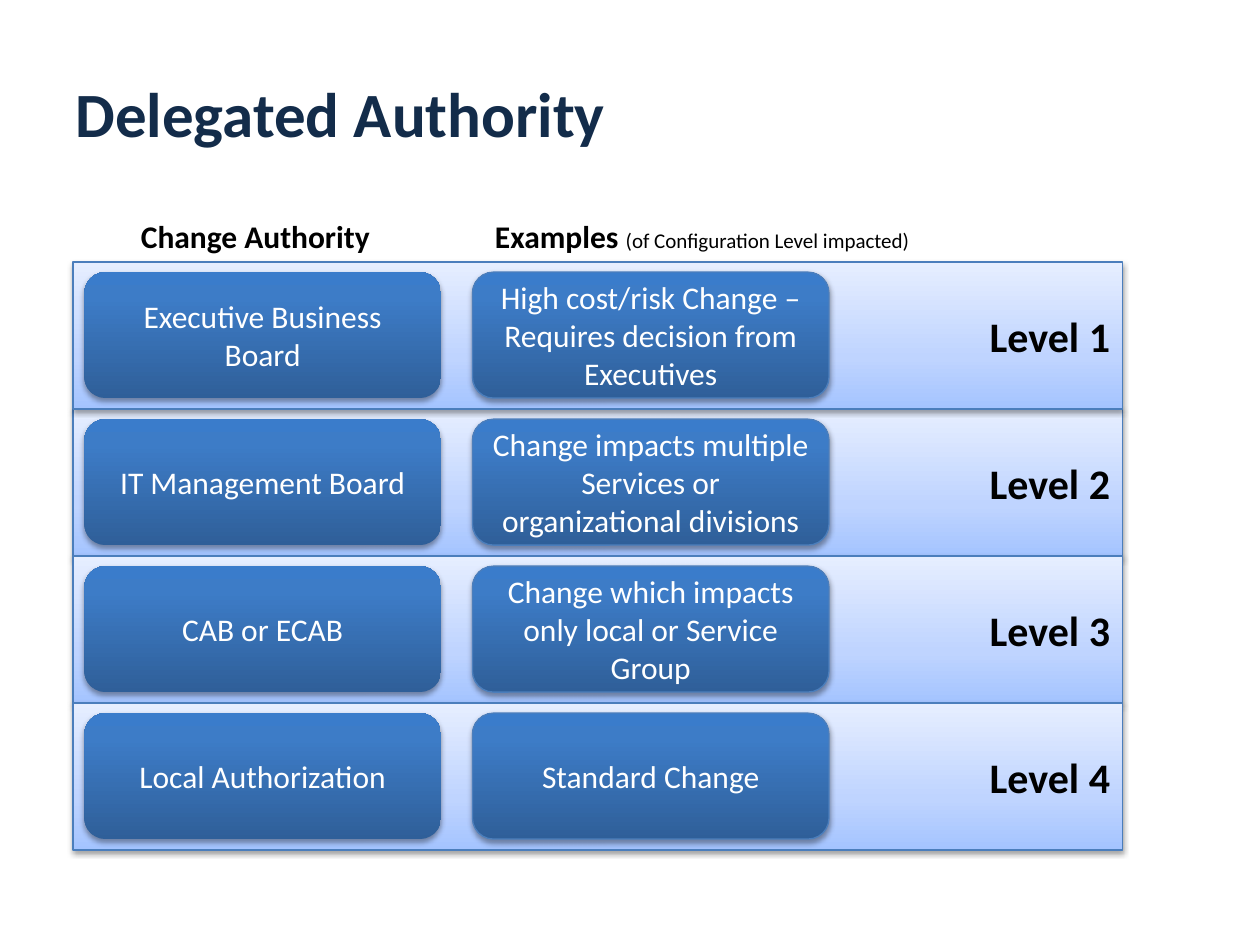
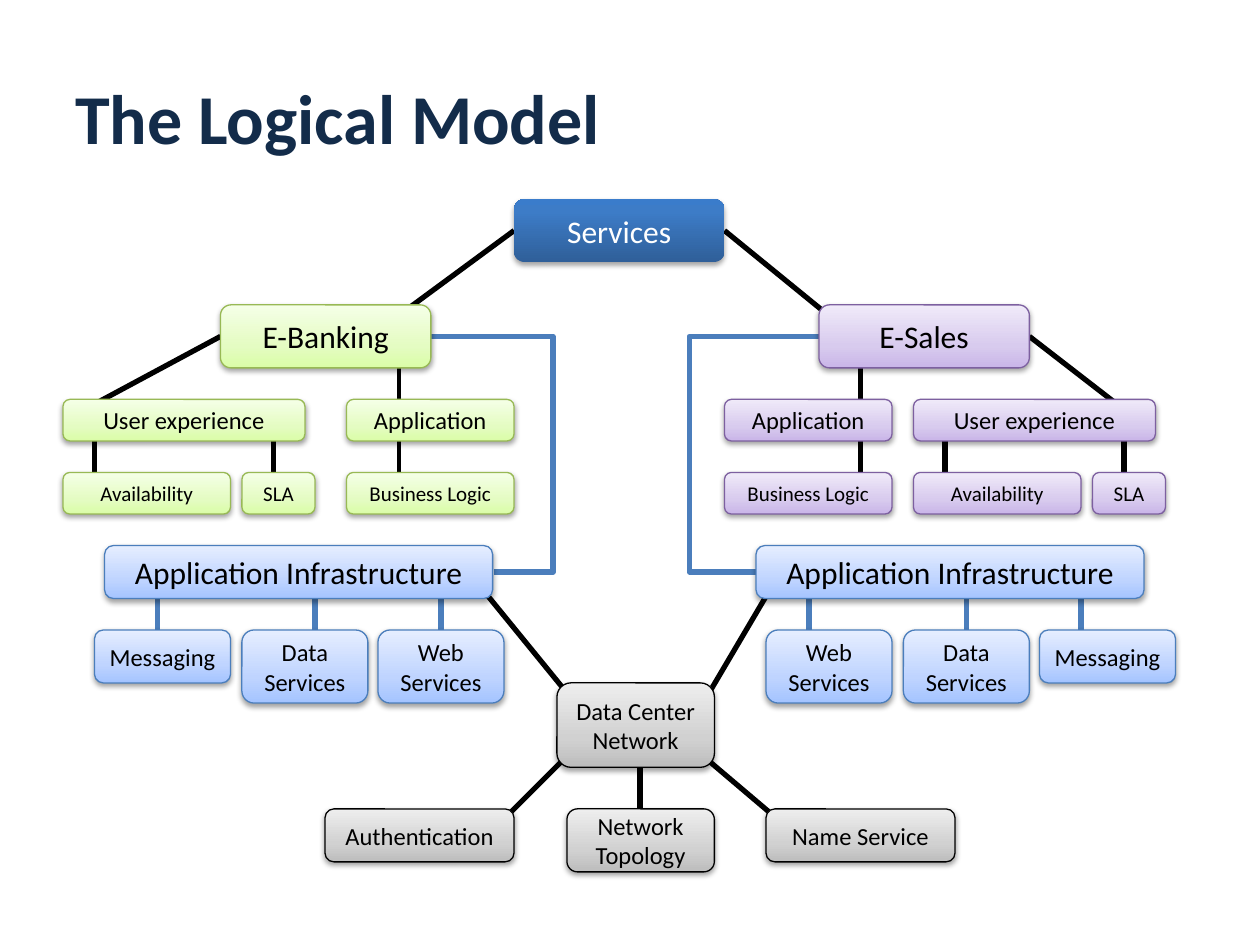
from copy import deepcopy

from pptx import Presentation
from pptx.dml.color import RGBColor
from pptx.enum.shapes import MSO_CONNECTOR, MSO_SHAPE
from pptx.enum.text import MSO_ANCHOR, MSO_AUTO_SIZE, PP_ALIGN
from pptx.oxml import parse_xml
from pptx.oxml.ns import nsdecls, qn
from pptx.util import Inches, Pt

RECTANGLE, ROUNDED = MSO_SHAPE.RECTANGLE, MSO_SHAPE.ROUNDED_RECTANGLE
STRAIGHT, ELBOW = MSO_CONNECTOR.STRAIGHT, MSO_CONNECTOR.ELBOW
MIDDLE = MSO_ANCHOR.MIDDLE
CENTER, RIGHT = PP_ALIGN.CENTER, PP_ALIGN.RIGHT
GROW = MSO_AUTO_SIZE.SHAPE_TO_FIT_TEXT

BLACK, WHITE, BLUE_LINE = "000000", "FFFFFF", "4B7EBC"
PALE_STOPS = (0, 0.35, 1)
DARK_STOPS = (0, 0.8, 1)
DARK_BLUES = ("2F5F99", "3D7CC7", "3A7CCB")
THEME = {
    "font": "Calibri",
    "title": "132C4A",
    "sizes": {"level": 24, "large": 18, "medium": 14, "small": 12},
    # gradient positions, gradient colours from the bottom up, outline, text
    "styles": {
        "dark": (DARK_STOPS, DARK_BLUES, None, WHITE),
        "dark outlined": (DARK_STOPS, DARK_BLUES, BLUE_LINE, WHITE),
        "blue": (PALE_STOPS, ("A4C4FF", "BFD4FF", "E6EEFF"), BLUE_LINE, BLACK),
        "green": (PALE_STOPS, ("DAFDA7", "E4FCC2", "F5FFE7"), "98B955", BLACK),
        "purple": (PALE_STOPS, ("C9B5E8", "D8CBEE", "F0EAF9"), "7D60A0", BLACK),
        "grey": (PALE_STOPS, ("BDBDBD", "D1D1D1", "EEEEEE"), BLACK, BLACK),
    },
}


def add_box(page, text, style, size, left, top, width, height,
            kind=ROUNDED, align=CENTER, bold=False):
    """Add a labelled shape with a vertical gradient and a soft shadow below."""
    positions, colors, outline, text_color = THEME["styles"][style]
    box = page.shapes.add_shape(
        kind, Inches(left), Inches(top), Inches(width), Inches(height))

    box.fill.gradient()
    box.fill.gradient_angle = 90
    stop_list = box._element.spPr.find(qn("a:gradFill")).find(qn("a:gsLst"))
    stop_list.append(deepcopy(stop_list[-1]))
    for stop, position, color in zip(box.fill.gradient_stops, positions, colors):
        stop.position = position
        stop.color.rgb = RGBColor.from_string(color)

    if outline:
        box.line.color.rgb = RGBColor.from_string(outline)
        box.line.width = Pt(0.75)
    else:
        box.line.fill.background()

    box.shadow.inherit = False
    box._element.spPr.find(qn("a:effectLst")).append(parse_xml(
        f'<a:outerShdw {nsdecls("a")} blurRad="40000" dist="21000" dir="5400000"'
        ' rotWithShape="0"><a:srgbClr val="000000"><a:alpha val="37000"/>'
        '</a:srgbClr></a:outerShdw>'))

    frame = box.text_frame
    frame.text = text
    frame.word_wrap = True
    frame.vertical_anchor = MIDDLE
    for para in frame.paragraphs:
        para.alignment = align
        font = para.runs[0].font
        font.name, font.bold = THEME["font"], bold
        font.size = Pt(THEME["sizes"][size])
        font.color.rgb = RGBColor.from_string(text_color)


def add_line(page, start, end, color=BLACK, width=3, bend=None):
    """Add a connector; bend places an elbow as a share of its width."""
    line = page.shapes.add_connector(
        STRAIGHT if bend is None else ELBOW,
        *(Inches(value) for value in start + end))
    line.line.color.rgb = RGBColor.from_string(color)
    line.line.width = Pt(width)
    properties = line._element.spPr
    properties.append(parse_xml(f'<a:effectLst {nsdecls("a")}/>'))
    if bend is not None:
        geometry = properties.find(qn("a:prstGeom"))
        geometry.find(qn("a:avLst")).append(parse_xml(
            f'<a:gd {nsdecls("a")} name="adj1" fmla="val {round(bend * 100000)}"/>'))


deck = Presentation()
deck.slide_width, deck.slide_height = Inches(10), Inches(7.5)

pages = []
for title, size, spacing in (("Delegated Authority", 36, 0.93),
                             ("The Logical Model", 40, 1.0)):
    page = deck.slides.add_slide(deck.slide_layouts[6])
    box = page.shapes.add_textbox(Inches(0.5), Inches(0.3), Inches(9), Inches(1.25))
    box.text_frame.word_wrap = True
    box.text_frame.vertical_anchor = MIDDLE
    para = box.text_frame.paragraphs[0]
    para.text = title
    para.line_spacing = spacing
    font = para.runs[0].font
    font.name, font.size, font.bold = THEME["font"], Pt(size), True
    font.color.rgb = RGBColor.from_string(THEME["title"])
    pages.append(page)
authority_page, model_page = pages

# Delegated Authority: four level bands, each with an authority and an example
LEVELS = (
    ("Executive Business Board",
     "High cost/risk Change – Requires decision from Executives"),
    ("IT Management Board",
     "Change impacts multiple Services or organizational divisions"),
    ("CAB or ECAB", "Change which impacts only local or Service Group"),
    ("Local Authorization", "Standard Change"),
)
BAND_TOP, BAND_HEIGHT = 2.08, 7 / 6

for level in (2, 3, 4, 1):  # the first band casts its shadow over the second
    add_box(authority_page, f"Level {level}", "blue", "level",
            0.58, BAND_TOP + (level - 1) * BAND_HEIGHT, 8.33, BAND_HEIGHT,
            kind=RECTANGLE, align=RIGHT, bold=True)

for row, (authority, example) in enumerate(LEVELS):
    top = BAND_TOP + 0.08 + row * BAND_HEIGHT
    add_box(authority_page, authority, "dark", "large", 0.67, top, 2.83, 1)
    add_box(authority_page, example, "dark outlined", "large", 3.75, top, 2.83, 1)

for left, width, heading, remark in (
        (1.02, 2.03, "Change Authority", None),
        (3.83, 3.52, "Examples ", "(of Configuration Level impacted)")):
    box = authority_page.shapes.add_textbox(
        Inches(left), Inches(1.67), Inches(width), Inches(0.4))
    box.text_frame.word_wrap = False
    box.text_frame.auto_size = GROW
    para = box.text_frame.paragraphs[0]
    para.text = heading
    if remark:
        para.add_run().text = remark
    for span, size, bold in zip(para.runs, ("large", "small"), (True, False)):
        span.font.name, span.font.bold = THEME["font"], bold
        span.font.size = Pt(THEME["sizes"][size])
        span.font.color.rgb = RGBColor.from_string(BLACK)

# The Logical Model: lines first, so that the boxes cover their ends
add_line(model_page, (3.17, 2.83), (3.17, 3.83), width=2.25)
for start, end in (
        ((6.83, 2.75), (6.83, 3.83)),  # E-Sales to its business logic
        ((2.17, 3.42), (2.17, 3.92)),  # user experience to its parts
        ((0.75, 3.42), (0.75, 3.92)),
        ((7.5, 3.42), (7.5, 3.92)),
        ((8.92, 3.33), (8.92, 3.92)),
        ((5.08, 5.92), (5.08, 6.5)),  # data center network
        ((4.5, 6), (4, 6.5)),
        ((5.58, 6), (6.17, 6.5)),
        ((5.58, 5.58), (6.17, 4.58)),
        ((4.5, 5.5), (3.75, 4.58)),
        ((0.67, 3.25), (1.75, 2.67)),  # services to user experience
        ((8.92, 3.25), (8.17, 2.67)),
        ((3.17, 2.5), (4.08, 1.83)),
        ((6.67, 2.58), (5.75, 1.83))):
    add_line(model_page, start, end)
for x in (1.25, 2.5, 3.5, 6.42, 7.67, 8.58):
    add_line(model_page, (x, 4.67), (x, 5.08), BLUE_LINE)
add_line(model_page, (6, 4.54), (6.5, 2.67), BLUE_LINE, bend=-1.06)
add_line(model_page, (3.92, 4.54), (3.42, 2.67), BLUE_LINE, bend=-0.94)

# name, style, then the left edges of service, experience and application
for service, style, service_left, experience_left, application_left in (
        ("E-Banking", "green", 1.75, 0.5, 2.75),
        ("E-Sales", "purple", 6.5, 7.25, 5.75)):
    for text, size, left, top, width, height in (
            ("Availability", "small", experience_left, 3.75, 1.33, 0.33),
            ("Business Logic", "small", application_left, 3.75, 1.33, 0.33),
            ("SLA", "small", experience_left + 1.42, 3.75, 0.58, 0.33),
            ("User experience", "medium", experience_left, 3.17, 1.92, 0.33),
            ("Application", "medium", application_left, 3.17, 1.33, 0.33),
            (service, "large", service_left, 2.42, 1.67, 0.5)):
        add_box(model_page, text, style, size, left, top, width, height)

add_box(model_page, "Services", "dark", "large", 4.08, 1.58, 1.67, 0.5)

for infrastructure_left, data_left, web_left, messaging_left in (
        (0.83, 1.92, 3, 0.75), (6, 7.17, 6.08, 8.25)):
    for text, size, left, top, width, height in (
            ("Application Infrastructure", "large",
             infrastructure_left, 4.33, 3.08, 0.42),
            ("Data\nServices", "medium", data_left, 5, 1, 0.58),
            ("Web\nServices", "medium", web_left, 5, 1, 0.58),
            ("Messaging", "medium", messaging_left, 5, 1.08, 0.42)):
        add_box(model_page, text, "blue", size, left, top, width, height)

for text, left, top, width, height in (
        ("Data Center Network", 4.42, 5.42, 1.25, 0.67),
        ("Name Service", 6.08, 6.42, 1.5, 0.42),
        ("Authentication", 2.58, 6.42, 1.5, 0.42),
        ("Network Topology", 4.5, 6.42, 1.17, 0.5)):
    add_box(model_page, text, "grey", "medium", left, top, width, height)

deck.save("out.pptx")
